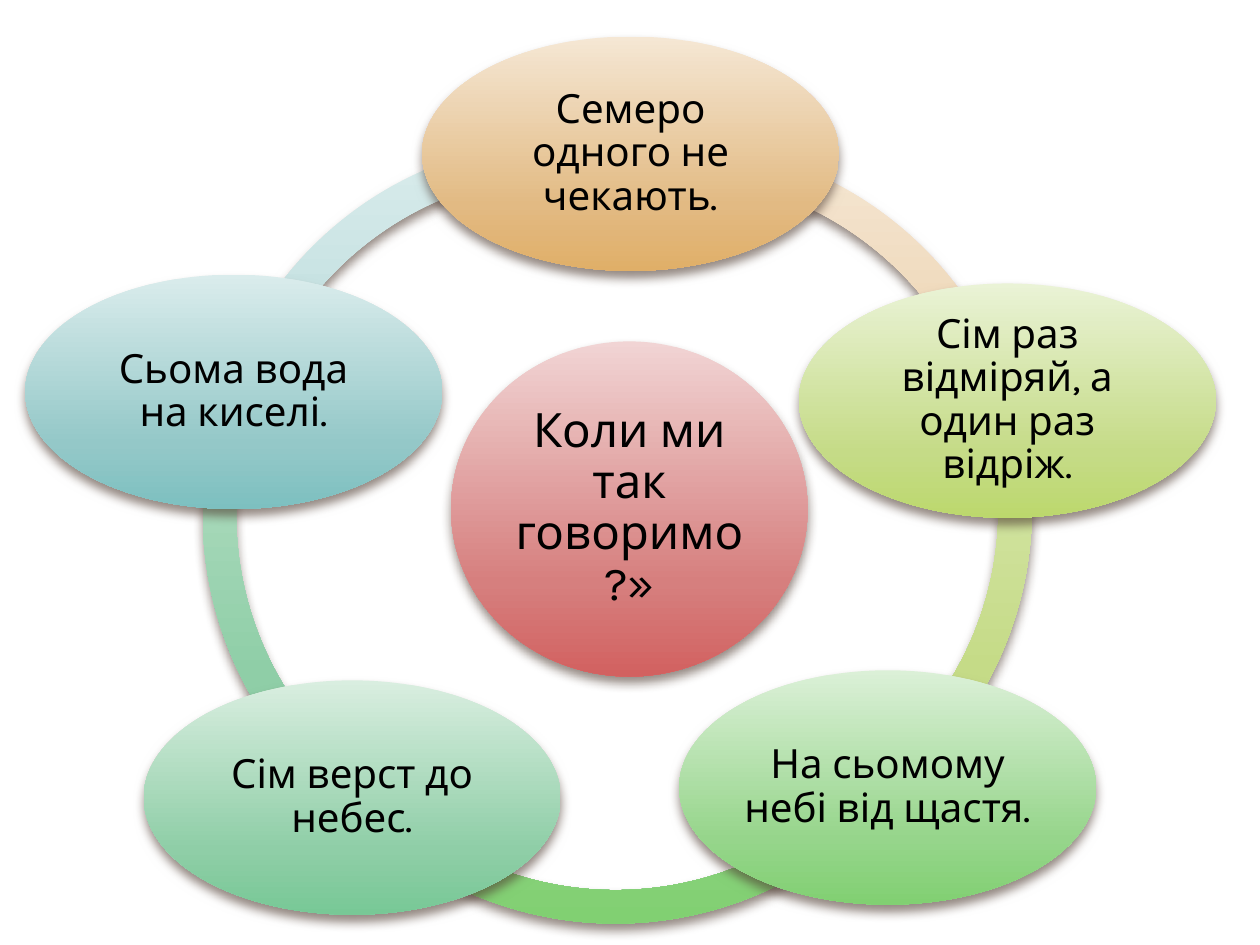
from copy import deepcopy
from dataclasses import dataclass

from pptx import Presentation
from pptx.dml.color import RGBColor
from pptx.enum.shapes import MSO_SHAPE
from pptx.enum.text import MSO_ANCHOR, PP_ALIGN
from pptx.oxml import parse_xml
from pptx.oxml.ns import nsdecls, qn
from pptx.util import Emu, Inches, Pt

ELLIPSE, BLOCK_ARC = MSO_SHAPE.OVAL, MSO_SHAPE.BLOCK_ARC
MIDDLE, CENTER = MSO_ANCHOR.MIDDLE, PP_ALIGN.CENTER
COLS, ROWS = 100, 75
BLANK = 6


@dataclass(frozen=True)
class Theme:
    font: str = "Karla"
    text: str = "000000"
    shadow: str = "4E3B30"
    center_size: int = 27
    node_size: int = 23
    stops: tuple = (0, 0.72, 1)
    red: tuple = ("F1D4D4", "D67F7E", "D26160")
    orange: tuple = ("F5E7D4", "E2BA83", "E0AF68")
    lime: tuple = ("EAF3D6", "C5DB87", "BCD86D")
    green: tuple = ("DBF0D7", "96D58B", "81D072")
    mint: tuple = ("D9EEE0", "8FCEA7", "78C896")
    teal: tuple = ("DAECEC", "94C8C8", "7DC0C0")


class Deck:
    def __init__(self, prs, theme):
        self.prs = prs
        self.theme = theme
        self.s = prs.slides.add_slide(prs.slide_layouts[BLANK])

    def shape(self, kind, left, top, width, height, colors):
        col, row = self.prs.slide_width / COLS, self.prs.slide_height / ROWS
        box = (left * col, top * row, width * col, height * row)
        sp = self.s.shapes.add_shape(kind, *(Emu(round(v)) for v in box))
        sp.line.fill.background()
        self.gradient(sp, colors)
        self.shadow(sp)
        return sp

    def gradient(self, sp, colors):
        sp.fill.gradient()
        sp.fill.gradient_angle = 270
        gs = sp.element.spPr.find(".//" + qn("a:gs"))
        gs.addnext(deepcopy(gs))
        for stop, position, color in zip(sp.fill.gradient_stops, self.theme.stops, colors):
            stop.position = position
            stop.color.rgb = RGBColor.from_string(color)

    def shadow(self, sp):
        sp.shadow.inherit = False
        sp.element.spPr.find(qn("a:effectLst")).append(parse_xml(
            f'<a:outerShdw {nsdecls("a")} blurRad="{Pt(6)}" dist="{Pt(4)}" '
            f'dir="5400000" rotWithShape="0"><a:srgbClr val="{self.theme.shadow}">'
            '<a:alpha val="60000"/></a:srgbClr></a:outerShdw>'))

    def arc(self, left, top, size, start, end, colors):
        sp = self.shape(BLOCK_ARC, left, top, size, size, colors)
        for i, value in enumerate((start * 0.6, end * 0.6, 0.046)):
            sp.adjustments[i] = value

    def bubble(self, left, top, width, height, text, size, inset, colors):
        sp = self.shape(ELLIPSE, left, top, width, height, colors)
        tf = sp.text_frame
        margins = dict.fromkeys(
            ("margin_left", "margin_top", "margin_right", "margin_bottom"), Inches(inset))
        p = tf.paragraphs[0]
        r = p.add_run()
        r.text = text
        r.font.color.rgb = RGBColor.from_string(self.theme.text)
        formats = (
            (tf, {"word_wrap": True, "vertical_anchor": MIDDLE, **margins}),
            (p, {"alignment": CENTER, "line_spacing": 0.9}),
            (r.font, {"name": self.theme.font, "size": Pt(size)}),
        )
        for target, values in formats:
            for name, value in values.items():
                setattr(target, name, value)


def main():
    prs = Presentation()
    prs.slide_width, prs.slide_height = Inches(10), Inches(7.5)
    theme = Theme()
    deck = Deck(prs, theme)

    arcs = (
        (16.4, 11.1, 198.38, 279.71, theme.teal),
        (16.1, 12, 127.05, 200.33, theme.mint),
        (20, 15.6, 39.96, 137.92, theme.green),
        (24.2, 11.5, 342.35, 51.86, theme.lime),
        (24.1, 11.3, 263.88, 342.78, theme.orange),
    )
    for left, top, start, end, colors in arcs:
        deck.arc(left, top, 57.7, start, end, colors)

    deck.bubble(35.8, 27.1, 28.3, 26.6, "Коли ми так говоримо?»",
                theme.center_size, 0.04, theme.red)

    proverbs = (
        (33.5, 2.9, "Семеро одного не чекають.", theme.orange),
        (63.4, 22.5, "Сім раз відміряй, а один раз відріж.", theme.lime),
        (53.9, 53.2, "На сьомому небі від щастя.", theme.green),
        (11.4, 54, "Сім верст до небес.", theme.mint),
        (2, 21.8, "Сьома вода на киселі.", theme.teal),
    )
    for left, top, text, colors in proverbs:
        deck.bubble(left, top, 33.1, 18.6, text, theme.node_size, 0.03, colors)

    prs.save("out.pptx")


if __name__ == "__main__":
    main()
